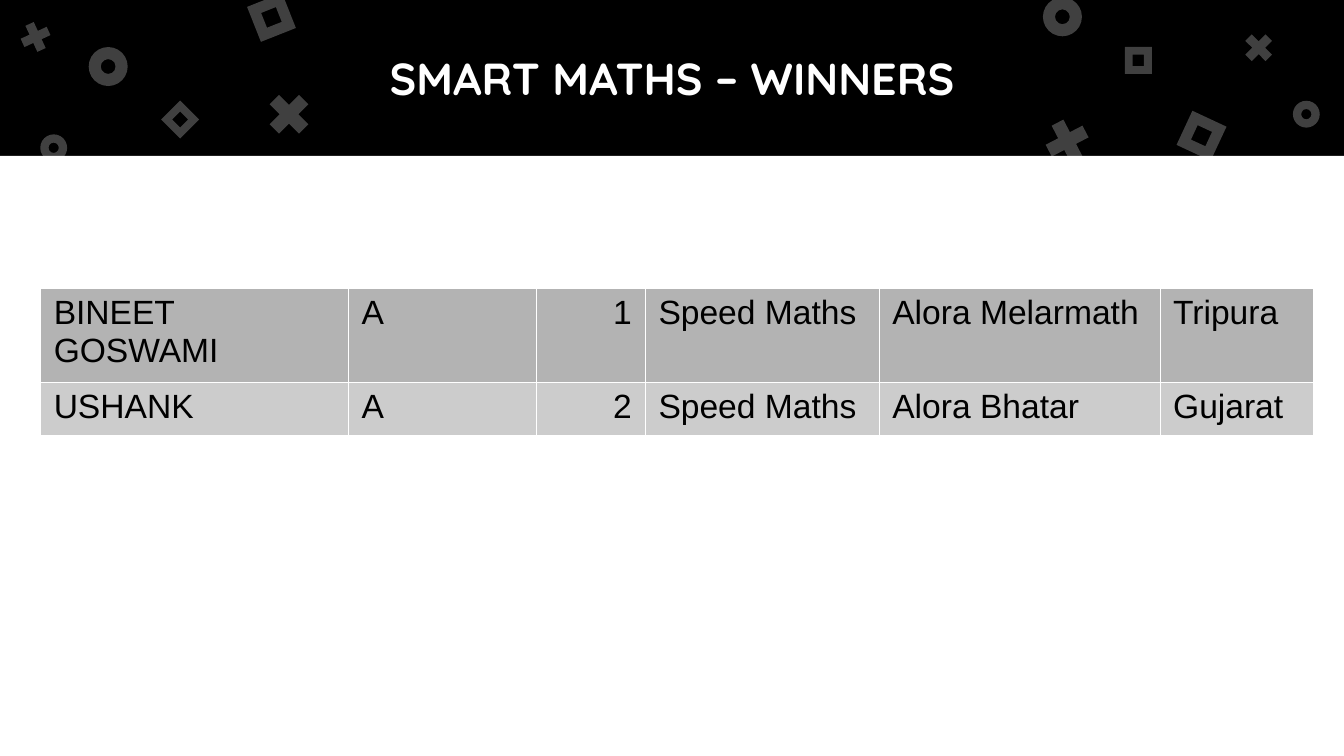
"""Build the Smart Maths winners slide."""
import pptx
import pptx.util
import pptx.dml.color
import pptx.enum.shapes
import pptx.enum.text
import pptx.oxml
from lxml import etree

Inches, Pt = pptx.util.Inches, pptx.util.Pt
SHAPE = pptx.enum.shapes.MSO_SHAPE
ALIGN = pptx.enum.text.PP_ALIGN
A = "http://schemas.openxmlformats.org/drawingml/2006/main"

TITLE = "SMART MATHS – WINNERS"
WINNERS = [
    ("BINEET GOSWAMI", "A", "1", "Speed Maths", "Alora Melarmath", "Tripura"),
    ("USHANK", "A", "2", "Speed Maths", "Alora Bhatar", "Gujarat"),
]
COLUMN_WIDTHS = [2.29, 1.4, 0.81, 1.74, 2.09, 1.14]
ROW_HEIGHTS = [0.38, 0]
TABLE_HEIGHT = 1.32
ROW_FILLS = ["B3B3B3", "CCCCCC"]
RANK_COLUMN = 2
WIDTH, BAND = 10, 1.16
HEIGHT = WIDTH * 9 / 16

ORNAMENTS = {
    "donut": (SHAPE.DONUT, 0.31, [
        (0.66, 0.35, 0.29, 0), (7.76, -0.02, 0.29, 0),
        (0.3, 1, 0.2, 0), (9.62, 0.75, 0.2, 0)]),
    "cross": (SHAPE.MATH_MULTIPLY, 0.235, [
        (1.94, 0.64, 0.42, 0), (7.73, 0.84, 0.42, 17.5),
        (0.12, 0.13, 0.29, 20.4), (9.22, 0.21, 0.29, 0)]),
    "frame": (SHAPE.FRAME, 0.289, [
        (1.88, -0.01, 0.28, 338.4), (8.8, 0.87, 0.28, 25),
        (1.24, 0.79, 0.2, 45), (8.37, 0.35, 0.2, 0)]),
}


def paint(fill, color):
    fill.solid()
    fill.fore_color.rgb = pptx.dml.color.RGBColor.from_string(color)


def set_font(p, name, size, color, bold=False):
    p.font.name, p.font.size, p.font.bold = name, Pt(size), bold
    paint(p.font.fill, color)


def add_shape(s, kind, x, y, w, h, color):
    sp = s.shapes.add_shape(kind, Inches(x), Inches(y), Inches(w), Inches(h))
    sp.shadow.inherit = False
    sp.line.fill.background()
    paint(sp.fill, color)
    return sp


def add_ornaments(s):
    for kind, adjustment, places in ORNAMENTS.values():
        for x, y, size, angle in places:
            sp = add_shape(s, kind, x, y, size, size, "FFFFFF")
            sp.adjustments[0] = adjustment
            sp.rotation = angle
            color = sp.fill._xPr.find(f"{{{A}}}solidFill")[0]
            etree.SubElement(color, f"{{{A}}}alpha", val="25000")


def add_title(s):
    tf = s.shapes.add_textbox(Inches(0.5), 0, Inches(9), Inches(BAND)).text_frame
    tf.word_wrap = True
    tf.vertical_anchor = pptx.enum.text.MSO_ANCHOR.MIDDLE
    tf.margin_left = tf.margin_right = tf.margin_top = tf.margin_bottom = Inches(0.1)
    p = tf.paragraphs[0]
    p.text, p.alignment = TITLE, ALIGN.CENTER
    set_font(p, "Quicksand", 24, "FFFFFF", True)


def set_borders(cell):
    tc_pr = cell._tc.get_or_add_tcPr()
    for i, side in enumerate("LRTB"):
        tc_pr.insert(i, pptx.oxml.parse_xml(
            f'<a:ln{side} xmlns:a="{A}" w="762"><a:solidFill>'
            f'<a:srgbClr val="FFFFFF"/></a:solidFill></a:ln{side}>'))


def add_winners(s):
    frame = s.shapes.add_table(
        len(WINNERS), len(COLUMN_WIDTHS), Inches(0.3), Inches(2.14),
        Inches(sum(COLUMN_WIDTHS)), Inches(TABLE_HEIGHT))
    table = frame.table
    table.first_row = table.horz_banding = False
    for column, width in zip(table.columns, COLUMN_WIDTHS):
        column.width = Inches(width)
    for i, winner in enumerate(WINNERS):
        table.rows[i].height = Inches(ROW_HEIGHTS[i])
        for j, text in enumerate(winner):
            cell = table.cell(i, j)
            paint(cell.fill, ROW_FILLS[i])
            set_borders(cell)
            p = cell.text_frame.paragraphs[0]
            p.text = text
            p.alignment = ALIGN.RIGHT if j == RANK_COLUMN else ALIGN.LEFT
            set_font(p, "Arial", 18, "000000")
    frame.height = Inches(TABLE_HEIGHT)


def main():
    prs = pptx.Presentation()
    prs.slide_width, prs.slide_height = Inches(WIDTH), Inches(HEIGHT)
    s = prs.slides.add_slide(prs.slide_layouts[6])
    paint(s.background.fill, "7BD100")
    add_shape(s, SHAPE.RECTANGLE, 0, 0, WIDTH, BAND, "000000")
    add_shape(s, SHAPE.RECTANGLE, 0, BAND, WIDTH, HEIGHT - BAND, "FFFFFF")
    add_ornaments(s)
    add_title(s)
    add_winners(s)
    prs.save("out.pptx")


if __name__ == "__main__":
    main()
